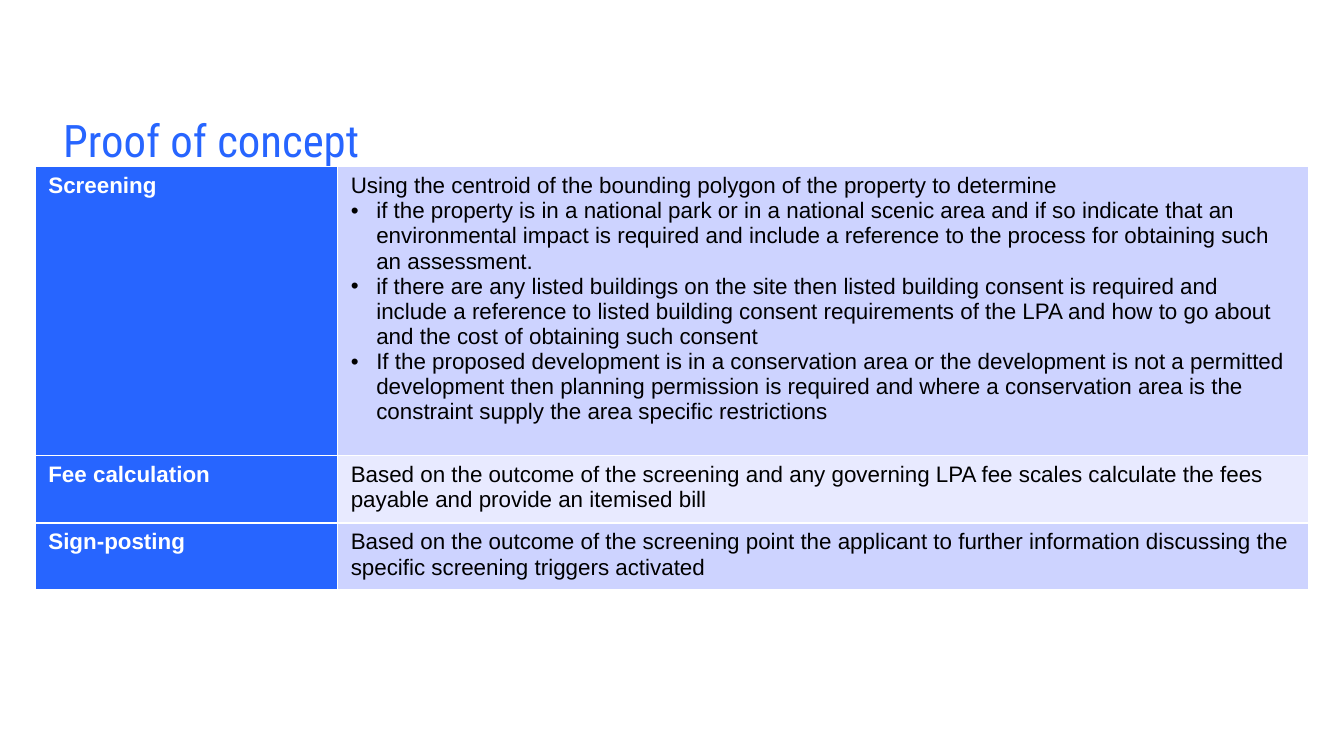
import pptx
import pptx.dml.color
import pptx.enum.text
import pptx.oxml.ns
import pptx.util
from lxml import etree

RGB = pptx.dml.color.RGBColor
BLUE = RGB(0x27, 0x65, 0xFF)
LAVENDER = RGB(0xCD, 0xD3, 0xFF)
PALE = RGB(0xE8, 0xEA, 0xFF)
WHITE = RGB(0xFF, 0xFF, 0xFF)
BLACK = RGB(0, 0, 0)

WIDTH = 10
HEIGHT = WIDTH * 9 / 16

STEPS = [
    ("Screening", 2.15, [
        "Using the centroid of the bounding polygon of the property to determine",
        "if the property is in a national park or in a national scenic area and if so indicate "
        "that an environmental impact is required and include a reference to the process for "
        "obtaining such an assessment.",
        "if there are any listed buildings on the site then listed building consent is required "
        "and include a reference to listed building consent requirements of the LPA and how to "
        "go about and the cost of obtaining such consent",
        "If the proposed development is in a conservation area or the development is not a "
        "permitted development then planning permission is required and where a conservation "
        "area is the constraint supply the area specific restrictions",
    ]),
    ("Fee calculation", 0.41, [
        "Based on the outcome of the screening and any governing LPA fee scales calculate the "
        "fees payable and provide an itemised bill",
    ]),
    ("Sign-posting", 0.41, [
        "Based on the outcome of the screening point the applicant to further information "
        "discussing the specific screening triggers activated",
    ]),
]


def add_element(parent, tag, **attributes):
    return etree.SubElement(parent, pptx.oxml.ns.qn(tag), **attributes)


class SlideBuilder:
    title_font = "Roboto Condensed"
    body_font = "Arial"
    title_size = 24
    body_size = 12
    indent = pptx.util.Inches(0.19)
    border = pptx.util.Pt(1)

    def __init__(self, width, height):
        self.deck = pptx.Presentation()
        self.deck.slide_width = pptx.util.Inches(width)
        self.deck.slide_height = pptx.util.Inches(height)
        self.page = self.deck.slides.add_slide(self.deck.slide_layouts[6])

    def place(self, left, top, width, height):
        across, down = self.deck.slide_width, self.deck.slide_height
        return [round(share * side) for share, side in
                zip((left, top, width, height), (across, down, across, down))]

    def format(self, para, font, size, color, bold=False):
        for span in para.runs:
            span.font.name = font
            span.font.size = pptx.util.Pt(size)
            span.font.color.rgb = color
            span.font.bold = bold

    def title(self, text, area):
        frame = self.page.shapes.add_textbox(*self.place(*area)).text_frame
        frame.word_wrap = True
        frame.vertical_anchor = pptx.enum.text.MSO_ANCHOR.BOTTOM
        frame.margin_left = frame.margin_right = 0
        frame.margin_top = frame.margin_bottom = 0
        frame.text = text
        self.format(frame.paragraphs[0], self.title_font, self.title_size, BLUE)

    def bullet(self, para):
        properties = para._p.get_or_add_pPr()
        properties.set("marL", str(self.indent))
        properties.set("indent", str(-self.indent))
        add_element(properties, "a:buFont", typeface=self.body_font)
        add_element(properties, "a:buChar", char="•")

    def cell(self, cell, lines, fill, color, bold=False):
        properties = cell._tc.get_or_add_tcPr()
        for side in ("a:lnL", "a:lnR", "a:lnT", "a:lnB"):
            line = add_element(properties, side, w=str(self.border))
            add_element(add_element(line, "a:solidFill"), "a:srgbClr", val=str(WHITE))
        cell.fill.solid()
        cell.fill.fore_color.rgb = fill
        cell.text_frame.text = "\n".join(lines)
        for index, para in enumerate(cell.text_frame.paragraphs):
            self.format(para, self.body_font, self.body_size, color, bold)
            if index:
                self.bullet(para)

    def table(self, steps, area, label_share):
        left, top, width, height = self.place(*area)
        holder = self.page.shapes.add_table(len(steps), 2, left, top, width, height)
        table = holder.table
        table.first_row = table.horz_banding = False
        table.columns[0].width = round(width * label_share)
        table.columns[1].width = width - table.columns[0].width
        for index, (label, row_height, lines) in enumerate(steps):
            table.rows[index].height = pptx.util.Inches(row_height)
            self.cell(table.cell(index, 0), [label], BLUE, WHITE, bold=True)
            self.cell(table.cell(index, 1), lines, PALE if index % 2 else LAVENDER, BLACK)
        holder.height = height


def main():
    builder = SlideBuilder(WIDTH, HEIGHT)
    builder.title("Proof of concept", (0.047, 0.66 / HEIGHT, 0.886, 0.58 / HEIGHT))
    builder.table(STEPS, (0.026, 1.24 / HEIGHT, 0.948, 3.3 / HEIGHT), 2.25 / 9.48)
    builder.deck.save("out.pptx")


if __name__ == "__main__":
    main()
